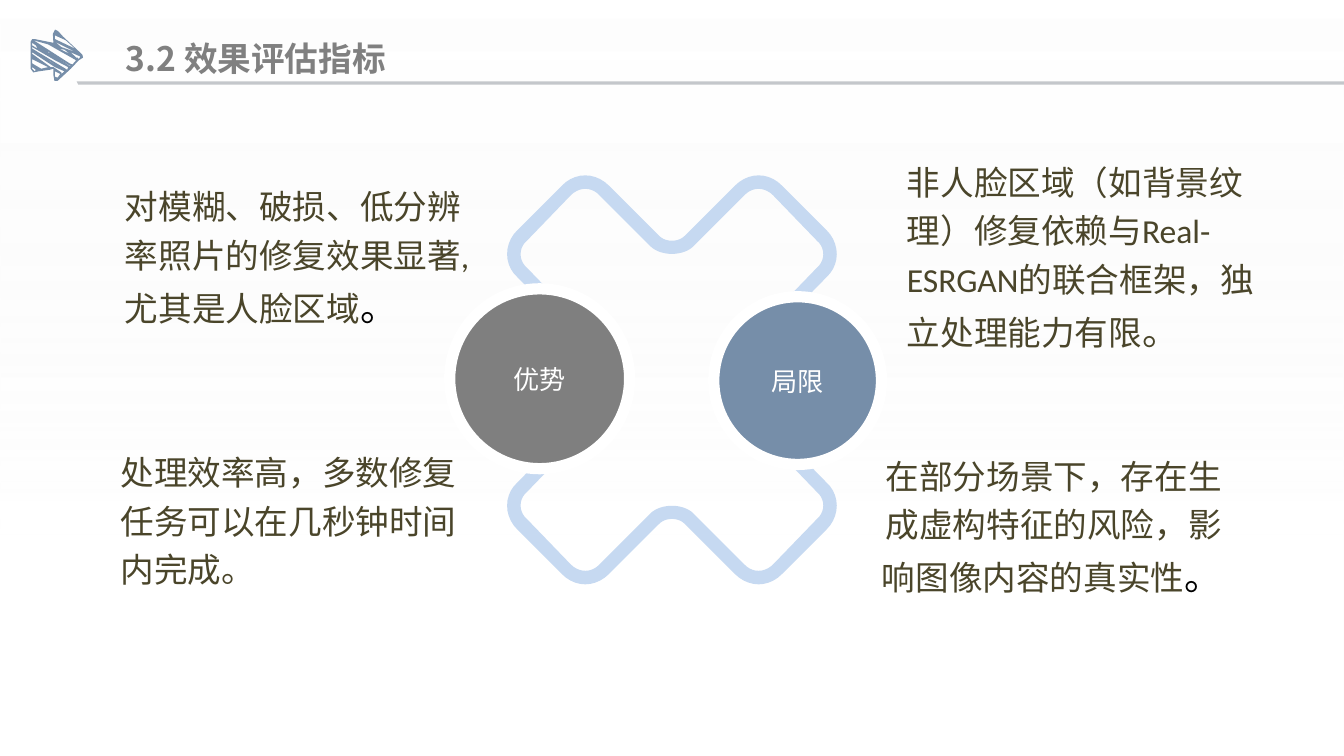
from lxml import etree
from pptx import Presentation
from pptx.dml.color import RGBColor
from pptx.enum.shapes import MSO_SHAPE
from pptx.enum.text import MSO_ANCHOR, PP_ALIGN
from pptx.oxml.ns import qn
from pptx.util import Cm, Pt

RECTANGLE, OVAL = MSO_SHAPE.RECTANGLE, MSO_SHAPE.OVAL
MIDDLE = MSO_ANCHOR.MIDDLE
LEFT, CENTER, RIGHT = PP_ALIGN.LEFT, PP_ALIGN.CENTER, PP_ALIGN.RIGHT
CJK, LATIN = "Noto Sans CJK SC", "Calibri"
WHITE, BLACK, GRAY, STEEL = "FFFFFF", "000000", "7F7F7F", "768EA9"
SKY, OLIVE = "C6D9F1", "4A452A"
WIDTH, HEIGHT = 25.4, 14.29

ARROW = [(0, .23), (.03, .18), (.08, .18), (.43, .25), (.42, .08), (.46, 0), (.52, .03), (.61, .13),
         (.91, .41), (.98, .48), (.99, .53), (.91, .58), (.76, .74), (.51, .97), (.45, .97),
         (.43, .86), (.43, .74), (.36, .76), (.15, .79), (.05, .81), (0, .74)]
HATCHES = [
    [(.76, .43), (.86, .53), (.89, .53), (.91, .56), (.94, .51)],
    [(.53, .36), (.58, .38), (.74, .46), (.64, .38)],
    [(.46, .18), (.84, .36), (.66, .2), (.46, .11)],
    [(.46, .23), (.58, .33), (.86, .43)],
    [(.46, .81), (.46, .89), (.51, .91), (.56, .84), (.46, .79)],
    [(.33, .41), (.33, .43), (.74, .69), (.76, .69), (.38, .46)],
    [(.15, .46), (.38, .61), (.61, .74)],
    [(.05, .2), (.38, .41), (.74, .64), (.79, .66), (.86, .58), (.33, .28), (.15, .23)],
    [(.03, .3), (.13, .36), (.1, .3), (.03, .25)],
    [(.03, .36), (.66, .74), (.69, .76), (.71, .71), (.46, .58), (.03, .33)],
    [(.03, .46), (.38, .71), (.43, .71), (.58, .81), (.58, .84), (.64, .79), (.46, .71), (.03, .43)],
    [(.03, .64), (.2, .74), (.33, .71), (.03, .56)],
    [(.03, .74), (.08, .79), (.1, .76), (.03, .71)],
]
BRACKET_BENDS = [
    [(0, 1.22), (.1, 1.22), (.18, 1.19), (.25, 1.12)],
    [(1.19, .18), (1.45, -.08), (1.83, -.08), (2.08, .18)],
    [(2.92, 1.02), (3.18, 1.27), (3.18, 1.68), (2.92, 1.91)],
    [(2.08, 2.77), (1.98, 2.87), (1.83, 2.95), (1.68, 2.95)],
    [(1.68, 2.69), (1.75, 2.69), (1.83, 2.64), (1.91, 2.59)],
    [(2.74, 1.73), (2.9, 1.6), (2.9, 1.35), (2.74, 1.22)],
    [(1.91, .36), (1.75, .2), (1.52, .2), (1.37, .36)],
    [(.43, 1.3), (.33, 1.42), (.15, 1.47), (0, 1.47)],
]


def color(value):
    """Turn a hex string into a colour."""
    return RGBColor.from_string(value)


def paint(shape, fill, line=None, line_width=0):
    """Give a shape a plain fill and an optional outline."""
    shape.shadow.inherit = False
    shape.fill.solid()
    shape.fill.fore_color.rgb = color(fill)
    if line:
        shape.line.color.rgb = color(line)
        shape.line.width = Pt(line_width)
    else:
        shape.line.fill.background()


def write(paragraph, text, size=18, font=LATIN, ink=OLIVE, bold=False):
    """Add one formatted run to a paragraph."""
    run = paragraph.add_run()
    run.text = text
    run.font.name = font
    run.font.size = Pt(size)
    run.font.bold = bold
    run.font.color.rgb = color(ink)
    etree.SubElement(run.font._element, qn("a:ea")).set("typeface", CJK)


def add_text_box(slide, box, margins, align=LEFT, spacing=1.0):
    """Add a wrapping, vertically centred text box and return its paragraph."""
    frame = slide.shapes.add_textbox(*map(Cm, box)).text_frame
    frame.word_wrap = True
    frame.vertical_anchor = MIDDLE
    frame.margin_left = frame.margin_right = Cm(margins[0])
    frame.margin_top = frame.margin_bottom = Cm(margins[1])
    paragraph = frame.paragraphs[0]
    paragraph.alignment = align
    paragraph.line_spacing = spacing
    return paragraph


def add_outline(slide, left, top, contours, fill):
    """Draw closed contours, placed from the given corner, as one shape."""
    placed = [[(Cm(left + x), Cm(top + y)) for x, y in contour] for contour in contours]
    builder = slide.shapes.build_freeform(*placed[0][0])
    builder.add_line_segments(placed[0][1:], close=True)
    for contour in placed[1:]:
        builder.move_to(*contour[0])
        builder.add_line_segments(contour[1:], close=True)
    paint(builder.convert_to_shape(), fill)


def bend(points, steps=10):
    """Sample a cubic curve."""
    def along(axis, t):
        a, b, c, d = (point[axis] for point in points)
        return a * (1 - t) ** 3 + 3 * b * t * (1 - t) ** 2 + 3 * c * t * t * (1 - t) + d * t ** 3
    return [(along(0, i / steps), along(1, i / steps)) for i in range(steps + 1)]


def add_backdrop(slide, box):
    """Add the faint gradient behind everything."""
    backdrop = slide.shapes.add_shape(RECTANGLE, *map(Cm, box))
    paint(backdrop, WHITE)
    backdrop.fill.gradient()
    backdrop.fill.gradient_angle = 270
    stops = zip(backdrop.fill.gradient_stops, ((0, WHITE, 55), (.71, "F2F2F2", 0)))
    for stop, (position, tint, opacity) in stops:
        stop.position = position
        stop.color.rgb = color(tint)
        tint_element = stop._gs.find(qn("a:srgbClr"))
        etree.SubElement(tint_element, qn("a:alpha")).set("val", str(opacity * 1000))


def add_header(slide, box):
    """Add the rule, the sketched arrow and the title."""
    left, top, width, height = box
    rule = [(0, 0), (width - .87, 0), (width - .87, .06), (.03, .06)]
    add_outline(slide, left + .87, top + height - .06, [rule], "C4C7CB")
    add_outline(slide, left, top, [ARROW, *HATCHES], STEEL)
    title = add_text_box(slide, (left + 1.8, top, 5.92, 1.07), (0, .13))
    write(title, "3.2 效果评估指标", font=CJK, ink="808080", bold=True)


def add_brackets(slide, box):
    """Add the wavy bracket and its mirror image at the bottom of the box."""
    left, top, width, height = box
    half = [point for points in BRACKET_BENDS for point in bend(points)]
    upper = half + [(-x, y) for x, y in reversed(half)]
    lower = [(x, height - y) for x, y in upper]
    for bracket in (upper, lower):
        add_outline(slide, left + width / 2, top, [bracket], SKY)


def add_disc(slide, box, label, fill):
    """Add a labelled disc with a thick white rim."""
    disc = slide.shapes.add_shape(OVAL, *map(Cm, box))
    paint(disc, fill, WHITE, 6)
    disc.text_frame.word_wrap = False
    disc.text_frame.vertical_anchor = MIDDLE
    paragraph = disc.text_frame.paragraphs[0]
    paragraph.alignment = CENTER
    write(paragraph, label, size=14, font=CJK, ink=WHITE)


def add_remark(slide, box, text, stop="", stop_ink=OLIVE, align=LEFT):
    """Add a remark, with a larger full stop where one is given."""
    remark = add_text_box(slide, box, (.2, 0), align, 1.2)
    write(remark, text)
    if stop:
        write(remark, stop, size=20, ink=stop_ink)


def main():
    """Build the slide and save it."""
    deck = Presentation()
    deck.slide_width, deck.slide_height = Cm(WIDTH), Cm(HEIGHT)
    slide = deck.slides.add_slide(deck.slide_layouts[6])
    add_backdrop(slide, (0, 0, WIDTH, HEIGHT))
    add_header(slide, (.58, .56, WIDTH - .58, 1.04))
    add_brackets(slide, (9.58, 3.33, 6.24, 7.7))
    add_disc(slide, (13.49, 5.61, 3.17, 3.17), "局限", STEEL)
    add_disc(slide, (8.5, 5.46, 3.4, 3.4), "优势", GRAY)
    remarks = [
        (2.16, 3, "对模糊、破损、低分辨率照片的修复效果显著,尤其是人脸区域", "。", BLACK, LEFT),
        (16.1, 8.1, "在部分场景下，存在生成虚构特征的风险，影响图像内容的真实性", "。", BLACK, RIGHT),
        (16.94, 3, "非人脸区域（如背景纹理）修复依赖与Real-ESRGAN的联合框架，独立处理能力有限", "。", OLIVE, LEFT),
        (2.08, 7.98, "处理效率高，多数修复任务可以在几秒钟时间内完成。", "", OLIVE, LEFT),
    ]
    for left, top, *content in remarks:
        add_remark(slide, (left, top, 7.19, 3.58), *content)
    deck.save("out.pptx")


if __name__ == "__main__":
    main()
